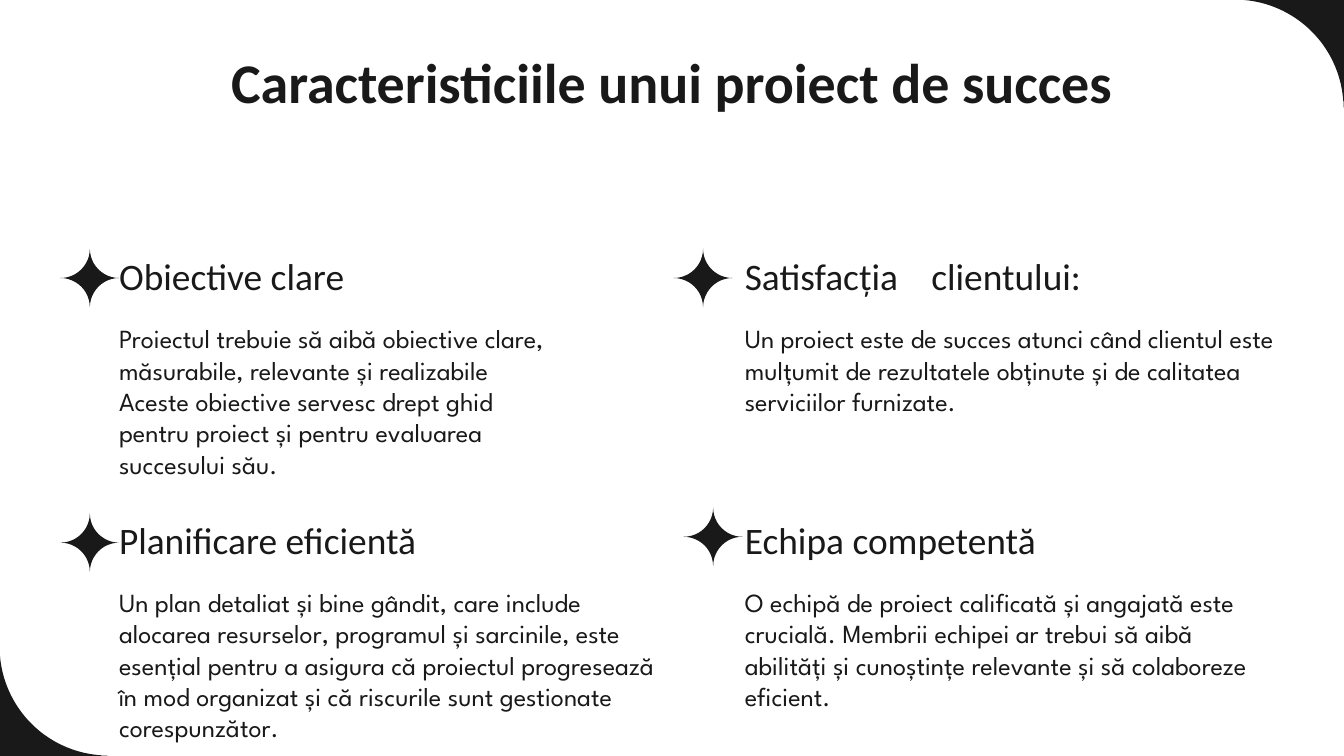
from lxml import etree
from pptx import Presentation
from pptx.dml.color import RGBColor
from pptx.enum.shapes import MSO_SHAPE
from pptx.enum.text import MSO_ANCHOR, MSO_AUTO_SIZE, PP_ALIGN
from pptx.oxml.ns import qn
from pptx.util import Pt

PX = 5715
WIDTH, HEIGHT = 1600, 900
INK = RGBColor(0x19, 0x19, 0x19)
WHITE = RGBColor(0xFF, 0xFF, 0xFF)
PLAQUE = MSO_SHAPE.PLAQUE
TOP, BOTTOM = MSO_ANCHOR.TOP, MSO_ANCHOR.BOTTOM
LEFT, CENTER = PP_ALIGN.LEFT, PP_ALIGN.CENTER
NO_FIT = MSO_AUTO_SIZE.NONE
TITLE_ONLY = 5
HEADING_FONT, BODY_FONT = "Calibri", "League Spartan"
INSET = 16
CORNER, STAR = 259, 70
BODY_HEIGHT = 125

CARDS = [
    {"box": (126, 278, 550, 215), "heading_height": 93, "heading_width": 550,
     "star": (-54, 18), "heading": "Obiective clare",
     "body": "Proiectul trebuie să aibă obiective clare, măsurabile, relevante "
             "și realizabile Aceste obiective servesc drept ghid pentru proiect "
             "și pentru evaluarea succesului său."},
    {"box": (871, 246, 672, 247), "heading_height": 125, "heading_width": 701,
     "star": (-69, 50), "heading": "Satisfacția\tclientului:", "tab": 222,
     "body": "Un proiect este de succes atunci când clientul este mulțumit de "
             "rezultatele obținute și de calitatea serviciilor furnizate."},
    {"box": (126, 560, 677, 247), "heading_height": 125, "heading_width": 771,
     "star": (-54, 51), "heading": "Planificare eficientă",
     "body": "Un plan detaliat și bine gândit, care include alocarea resurselor, "
             "programul și sarcinile, este esențial pentru a asigura că proiectul "
             "progresează în mod organizat și că riscurile sunt gestionate "
             "corespunzător."},
    {"box": (871, 592, 659, 215), "heading_height": 93, "heading_width": 658,
     "star": (-57, 12), "heading": "Echipa competentă",
     "body": "O echipă de proiect calificată și angajată este crucială. Membrii "
             "echipei ar trebui să aibă abilități și cunoștințe relevante și să "
             "colaboreze eficient."},
]


def emu(*lengths):
    return [length * PX for length in lengths]


def write(holder, text, *, font, size, bold=False, align=LEFT, anchor=TOP, tab=None):
    frame = holder.text_frame
    frame.word_wrap = True
    frame.auto_size = NO_FIT
    frame.vertical_anchor = anchor
    frame.margin_left = frame.margin_right = INSET * PX
    frame.margin_top = frame.margin_bottom = INSET * PX
    frame.text = text
    paragraph = frame.paragraphs[0]
    paragraph.alignment = align
    if tab:
        stops = etree.SubElement(paragraph._p.get_or_add_pPr(), qn("a:tabLst"))
        etree.SubElement(stops, qn("a:tab"), pos=str(tab * PX), algn="l")
    for run in paragraph.runs:
        run.font.name = font
        run.font.size = Pt(size)
        run.font.bold = bold
        run.font.color.rgb = INK


def add_plaque(slide, left, top, side):
    plaque = slide.shapes.add_shape(PLAQUE, *emu(left, top, side, side))
    plaque.adjustments[0] = 0.5
    plaque.shadow.inherit = False
    plaque.fill.solid()
    plaque.fill.fore_color.rgb = INK
    plaque.line.fill.background()


def add_corners(slide, left, top, width, height):
    half = CORNER // 2 + 1
    for x, y in ((left, top + height), (left + width, top)):
        add_plaque(slide, x - half, y - half, CORNER)


def place_title(slide, left, top, width, height):
    title = slide.shapes.title
    title.left, title.top, title.width, title.height = emu(left, top, width, height)
    write(title, "Caracteristiciile unui proiect de succes",
          font=HEADING_FONT, size=30, bold=True, align=CENTER)


def add_card(slide, card):
    left, top, width, height = card["box"]
    heading = slide.shapes.add_textbox(
        *emu(left, top, card["heading_width"], card["heading_height"]))
    write(heading, card["heading"], font=HEADING_FONT, size=20,
          anchor=BOTTOM, tab=card.get("tab"))
    body = slide.shapes.add_textbox(
        *emu(left, top + height - BODY_HEIGHT, width, BODY_HEIGHT))
    write(body, card["body"], font=BODY_FONT, size=14)
    star_x, star_y = card["star"]
    add_plaque(slide, left + star_x, top + star_y, STAR)


def main():
    deck = Presentation()
    deck.slide_width, deck.slide_height = emu(WIDTH, HEIGHT)
    slide = deck.slides.add_slide(deck.slide_layouts[TITLE_ONLY])
    slide.background.fill.solid()
    slide.background.fill.fore_color.rgb = WHITE
    add_corners(slide, 0, 0, WIDTH, HEIGHT)
    place_title(slide, 126, 41, 1348, 138)
    for card in CARDS:
        add_card(slide, card)
    deck.save("out.pptx")


if __name__ == "__main__":
    main()
